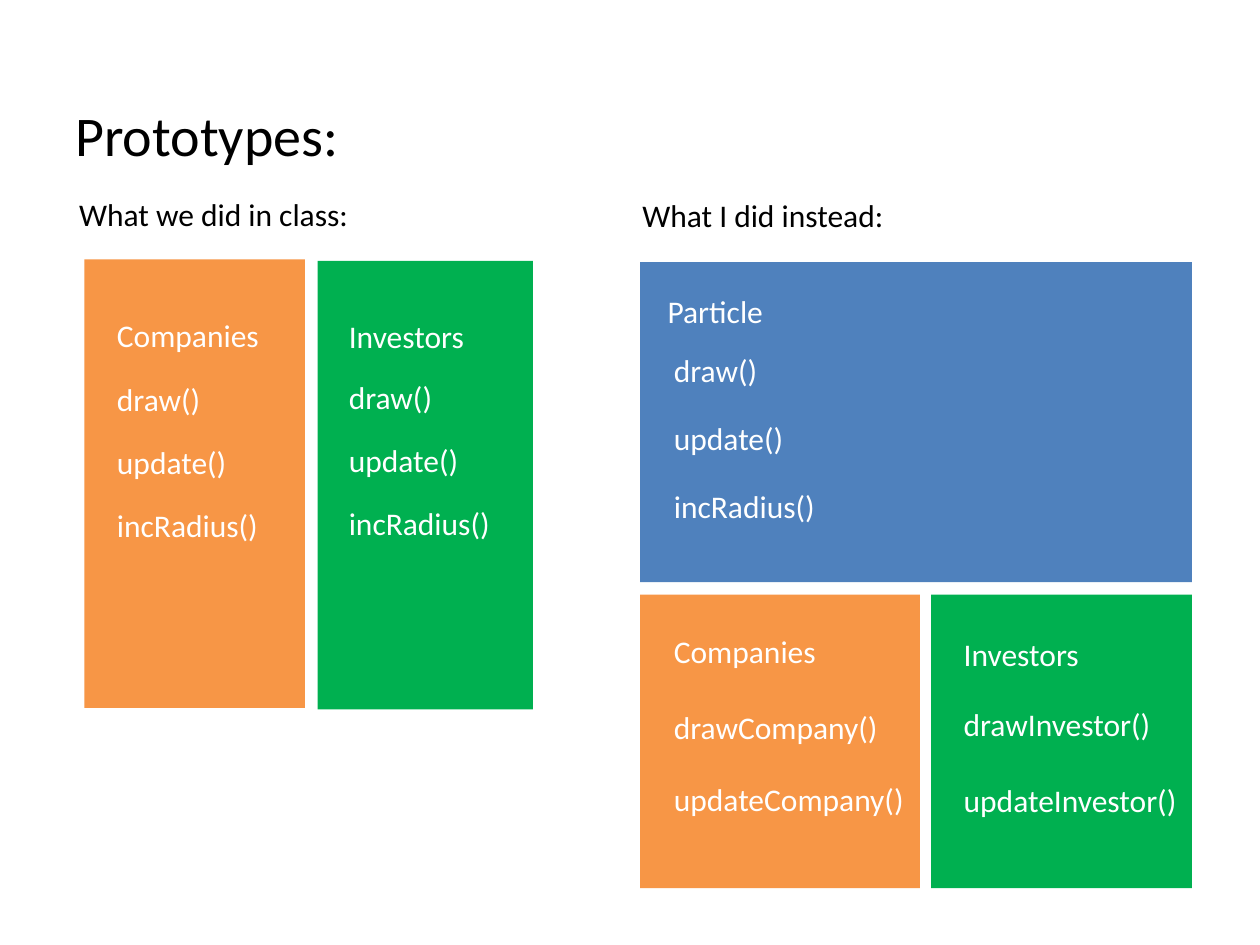
from pptx import Presentation
from pptx.dml.color import RGBColor
from pptx.enum.shapes import MSO_SHAPE
from pptx.enum.text import MSO_AUTO_SIZE
from pptx.util import Emu, Pt

RECTANGLE = MSO_SHAPE.RECTANGLE
FIT_SHAPE = MSO_AUTO_SIZE.SHAPE_TO_FIT_TEXT
PX = 9144  # 100 px to the inch
FONT = "Calibri"
COLORS = {
    "black": "000000",
    "white": "FFFFFF",
    "particle": "4F81BD",
    "companies": "F79646",
    "investors": "00B050",
}


def px(*lengths):
    return [Emu(length * PX) for length in lengths]


def add_label(text, left, top, width, height=40, color="white", size=18, wrap=False):
    label = slide.shapes.add_textbox(*px(left, top, width, height))
    frame = label.text_frame
    frame.text = text
    frame.word_wrap = wrap
    frame.auto_size = FIT_SHAPE
    font = frame.paragraphs[0].runs[0].font
    font.name = FONT
    font.size = Pt(size)
    font.color.rgb = RGBColor.from_string(COLORS[color])


prs = Presentation()
prs.slide_width, prs.slide_height = px(1000, 750)
slide = prs.slides.add_slide(prs.slide_layouts[6])

# Prototype panels: owner, left, top, width, height
panels = [
    ("companies", 67, 206, 175, 356),
    ("investors", 252, 207, 171, 356),
    ("particle", 508, 208, 438, 254),
    ("companies", 508, 472, 222, 233),
    ("investors", 739, 472, 207, 233),
]
for owner, *box in panels:
    panel = slide.shapes.add_shape(RECTANGLE, *px(*box))
    panel.shadow.inherit = False
    panel.fill.solid()
    panel.fill.fore_color.rgb = RGBColor.from_string(COLORS[owner])
    panel.line.fill.background()

# Headings
add_label("Prototypes:", 50, 75, 231, 64, color="black", size=32)
add_label("What we did in class:", 53, 150, 236, color="black")
add_label("What I did instead:", 500, 151, 214, color="black")

# Class version: both prototypes repeat the same methods
shared_methods = [("draw()", 87), ("update()", 108), ("incRadius()", 133)]
class_prototypes = [
    ("Companies", 83, 246, 134, 297),
    ("Investors", 267, 247, 112, 295),
]
for name, left, name_top, name_width, methods_top in class_prototypes:
    add_label(name, left, name_top, name_width)
    for row, (method, width) in enumerate(shared_methods):
        add_label(method, left, methods_top + 50 * row, width)

# New version: Particle holds the shared methods
add_label("Particle", 520, 227, 170, wrap=True)
for row, (method, width) in enumerate(shared_methods):
    add_label(method, 525, 274 + 54 * row, width)

# New version: what each prototype adds, as text, top, width, height
own_methods = [
    (525, True, [("Companies", 497, 170, 40),
                 ("drawCompany()", 557, 233, 40),
                 ("updateCompany()", 614, 259, 40)]),
    (755, False, [("Investors", 499, 112, 37),
                  ("drawInvestor()", 555, 170, 37),
                  ("updateInvestor()", 615, 191, 40)]),
]
for left, wrap, rows in own_methods:
    for text, top, width, height in rows:
        add_label(text, left, top, width, height, wrap=wrap)

prs.save("out.pptx")
